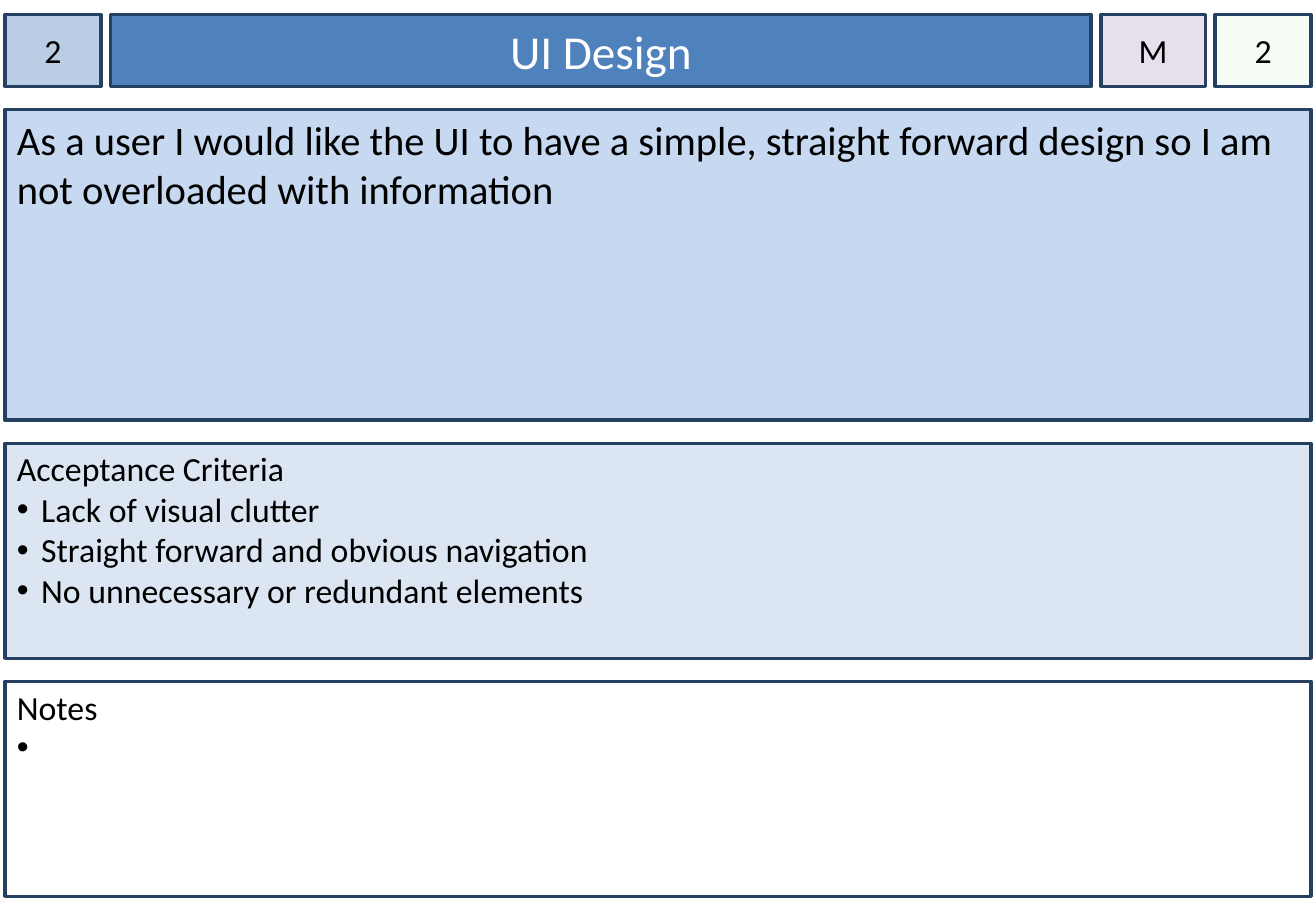
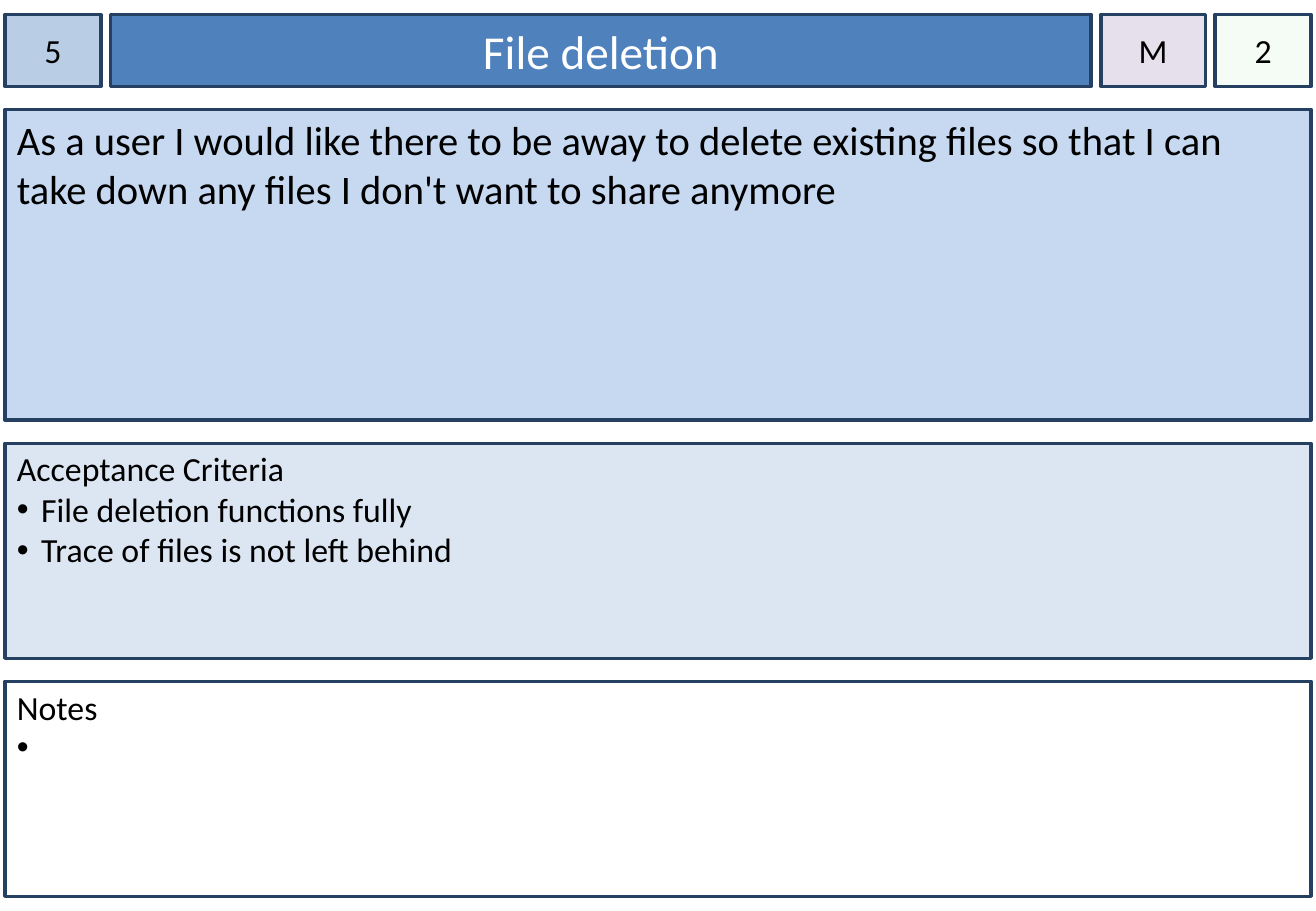
import pptx
import pptx.dml.color
import pptx.enum.shapes
import pptx.enum.text
import pptx.oxml
import pptx.oxml.ns
import pptx.util

Inches = pptx.util.Inches
FONT = "Calibri"
COLORS = {
    "outline": "254061",
    "number": "B9CDE5",
    "title": "4F81BD",
    "priority": "E6E0EC",
    "estimate": "CCF0CD",
    "story": "C6D9F1",
    "criteria": "DCE6F2",
    "notes": "FFFFFF",
    "text": "000000",
    "title_text": "FFFFFF",
}

LEFT, TOP = 0.04, 0.12
COLUMN_GAP, ROW_GAP = 0.08, 0.19
HEADER_HEIGHT = 0.59
HEADER_WIDTHS = {"number": 0.79, "title": 8.07, "priority": 0.86, "estimate": 0.79}
PANEL_WIDTH = 10.75
PANEL_HEIGHTS = {"story": 2.56, "criteria": 1.77, "notes": 1.77}

CARDS = [
    {
        "number": "2",
        "title": "UI Design",
        "priority": "M",
        "estimate": "2",
        "story": ["As a user I would like the UI to have a simple, straight forward "
                  "design so I am not overloaded with information"],
        "criteria": ["Acceptance Criteria", "Lack of visual clutter",
                     "Straight forward and obvious navigation",
                     "No unnecessary or redundant elements"],
        "notes": ["Notes", " "],
    },
    {
        "number": "5",
        "title": "File deletion",
        "priority": "M",
        "estimate": "2",
        "story": ["As a user I would like there to be away to delete existing files "
                  "so that I can take down any files I don't want to share anymore"],
        "criteria": ["Acceptance Criteria", "File deletion functions fully",
                     "Trace of files is not left behind"],
        "notes": ["Notes", " "],
    },
]


def rgb(name):
    """Return the named colour."""
    return pptx.dml.color.RGBColor.from_string(COLORS[name])


def place(shape, left, top, width, height):
    """Move and size a shape, in inches."""
    shape.left, shape.top = Inches(left), Inches(top)
    shape.width, shape.height = Inches(width), Inches(height)


def style_box(shape, fill):
    """Give a box its fill and the shared outline."""
    shape.fill.solid()
    shape.fill.fore_color.rgb = rgb(fill)
    shape.line.color.rgb = rgb("outline")
    shape.line.width = pptx.util.Pt(2)


def add_box(slide, fill):
    """Add a filled and outlined rectangle without a shadow."""
    shape = slide.shapes.add_shape(pptx.enum.shapes.MSO_SHAPE.RECTANGLE, 0, 0, 0, 0)
    shape.shadow.inherit = False
    style_box(shape, fill)
    return shape


def set_opacity(shape, percent):
    """Make the solid fill of a shape partly transparent."""
    color = shape.fill._xPr.find(".//" + pptx.oxml.ns.qn("a:srgbClr"))
    alpha = pptx.oxml.parse_xml(
        f'<a:alpha {pptx.oxml.ns.nsdecls("a")} val="{percent * 1000}"/>')
    color.append(alpha)


def set_bullet(paragraph):
    """Give a paragraph a bullet with a hanging indent."""
    properties = paragraph._p.get_or_add_pPr()
    properties.set("marL", str(Inches(0.2)))
    properties.set("indent", str(-Inches(0.2)))
    for tag in ('a:buFont typeface="Arial"', 'a:buChar char="•"'):
        properties.append(
            pptx.oxml.parse_xml(f'<{tag} {pptx.oxml.ns.nsdecls("a")}/>'))


def write(shape, lines, size, color="text", centered=False):
    """Fill a shape with paragraphs in the shared font."""
    frame = shape.text_frame
    frame.text = "\n".join(lines)
    frame.word_wrap = True
    frame.auto_size = pptx.enum.text.MSO_AUTO_SIZE.NONE
    anchor = pptx.enum.text.MSO_ANCHOR
    align = pptx.enum.text.PP_ALIGN
    frame.vertical_anchor = anchor.MIDDLE if centered else anchor.TOP
    for paragraph in frame.paragraphs:
        paragraph.alignment = align.CENTER if centered else align.LEFT
        for run in paragraph.runs:
            run.font.name = FONT
            run.font.size = pptx.util.Pt(size)
            run.font.color.rgb = rgb(color)


def add_header(slide, card):
    """Lay out the title and its small boxes from left to right."""
    left = LEFT
    for name, width in HEADER_WIDTHS.items():
        if name == "title":
            shape = slide.shapes.title
            style_box(shape, name)
            write(shape, [card[name]], 28, "title_text", centered=True)
        else:
            shape = add_box(slide, name)
            write(shape, [card[name]], 20, centered=True)
            shape.text_frame.margin_left = shape.text_frame.margin_right = 0
        if name == "estimate":
            set_opacity(shape, 20)
        place(shape, left, TOP, width, HEADER_HEIGHT)
        left += width + COLUMN_GAP


def add_panels(slide, card):
    """Stack the story, criteria and notes panels under the header."""
    top = TOP + HEADER_HEIGHT + ROW_GAP
    for name, height in PANEL_HEIGHTS.items():
        shape = add_box(slide, name)
        place(shape, LEFT, top, PANEL_WIDTH, height)
        write(shape, card[name], 24 if name == "story" else 20)
        if name != "story":
            shape.text_frame.margin_top = Inches(0.04)
        for paragraph in shape.text_frame.paragraphs[1:]:
            set_bullet(paragraph)
        top += height + ROW_GAP


def main():
    """Build one slide for each story card."""
    presentation = pptx.Presentation()
    presentation.slide_width = Inches(10.83)
    presentation.slide_height = Inches(7.5)
    for card in CARDS:
        slide = presentation.slides.add_slide(presentation.slide_layouts[5])
        add_header(slide, card)
        add_panels(slide, card)
    presentation.save("out.pptx")


main()
